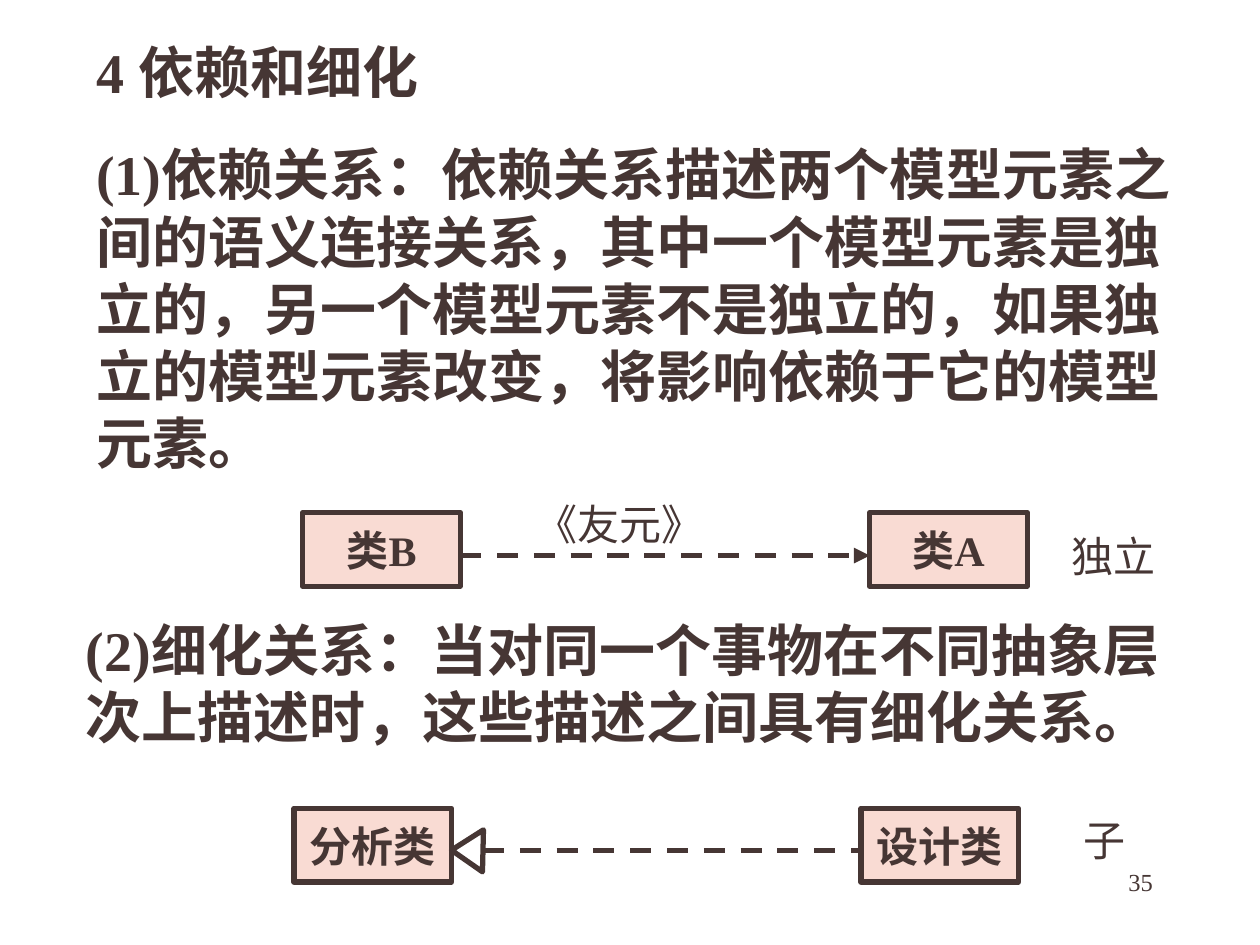
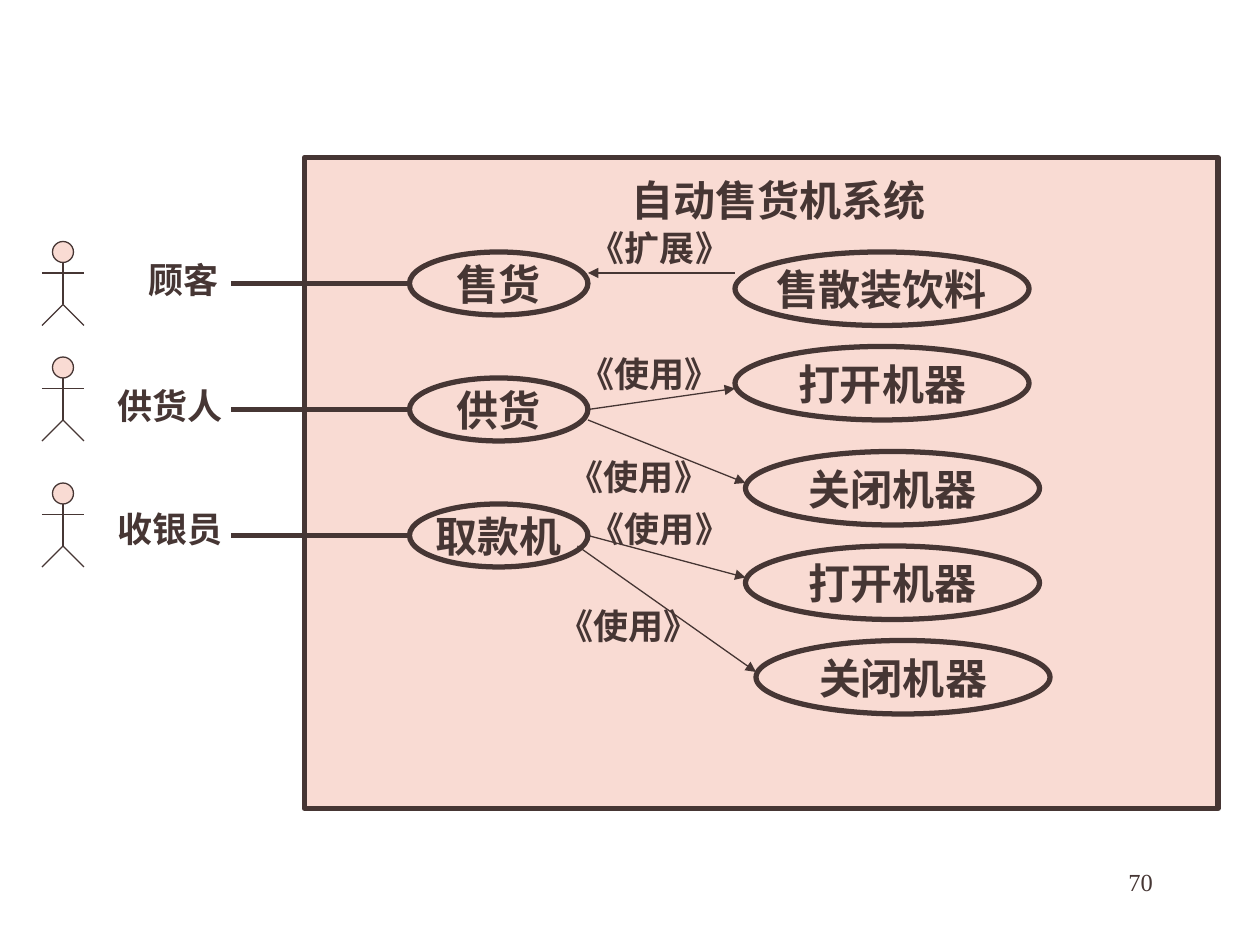
"""Builds two slides on UML dependency, refinement and use cases."""
from typing import NamedTuple

from pptx import Presentation
from pptx.dml.color import RGBColor
from pptx.enum.dml import MSO_LINE
from pptx.enum.lang import MSO_LANGUAGE_ID as LANG
from pptx.enum.shapes import MSO_CONNECTOR, MSO_SHAPE as SHAPE
from pptx.enum.text import MSO_ANCHOR, MSO_AUTO_SIZE as AUTO_SIZE, PP_ALIGN as ALIGN
from pptx.oxml.ns import qn
from pptx.oxml.xmlchemy import OxmlElement
from pptx.shapes.autoshape import Shape
from pptx.slide import Slide
from pptx.text.text import _Paragraph as Paragraph
from pptx.util import Pt

INK = RGBColor(0x46, 0x36, 0x34)
BLUSH = RGBColor(0xF9, 0xDB, 0xD3)
FONT = "Times New Roman"
THICK, THIN = 3, 0.75
CLASS_WIDTH, CLASS_HEIGHT, CLASS_STEP = 90, 42, 324


class Node(NamedTuple):
    """An outlined shape with an optional centred caption."""
    left: float
    top: float
    width: float
    height: float
    caption: str = ""
    kind: SHAPE = SHAPE.OVAL
    weight: float = THICK


class Label(NamedTuple):
    """A text box whose paragraphs share one style."""
    left: float
    top: float
    width: float
    height: float
    paragraphs: tuple[str, ...]
    size: float = 24
    bold: bool = False
    align: ALIGN = ALIGN.LEFT


class Link(NamedTuple):
    """A straight line between two points."""
    x1: float
    y1: float
    x2: float
    y2: float
    weight: float = THIN
    dashed: bool = False
    arrow: bool = False


class Actor(NamedTuple):
    """A stick figure with its role and its use case."""
    top: float
    role: str
    role_left: float
    role_top: float
    use_case: str
    use_case_top: float


def write(paragraph: Paragraph, text: str, size: float, bold: bool) -> None:
    """Add one styled run."""
    run = paragraph.add_run()
    run.text = text
    font = run.font
    font.name, font.size, font.bold = FONT, Pt(size), bold
    font.color.rgb = INK
    font.language_id = LANG.SIMPLIFIED_CHINESE


def draw_node(slide: Slide, node: Node) -> Shape:
    """Draw a filled shape and its caption."""
    shape = slide.shapes.add_shape(
        node.kind, Pt(node.left), Pt(node.top), Pt(node.width), Pt(node.height))
    shape.shadow.inherit = False
    shape.fill.solid()
    shape.fill.fore_color.rgb = BLUSH
    shape.line.color.rgb = INK
    shape.line.width = Pt(node.weight)
    if node.caption:
        frame = shape.text_frame
        frame.word_wrap = False
        frame.vertical_anchor = MSO_ANCHOR.MIDDLE
        frame.paragraphs[0].alignment = ALIGN.CENTER
        write(frame.paragraphs[0], node.caption, 24, True)
    return shape


def draw_label(slide: Slide, label: Label) -> None:
    """Draw a wrapping text box."""
    box = slide.shapes.add_textbox(
        Pt(label.left), Pt(label.top), Pt(label.width), Pt(label.height))
    frame = box.text_frame
    frame.word_wrap = True
    frame.auto_size = AUTO_SIZE.NONE
    for index, text in enumerate(label.paragraphs):
        paragraph = frame.add_paragraph() if index else frame.paragraphs[0]
        paragraph.alignment = label.align
        if index:
            paragraph.space_before = Pt(20)
        write(paragraph, text, label.size, label.bold)


def draw_link(slide: Slide, link: Link) -> None:
    """Draw a line, dashed or with an arrowhead where asked."""
    connector = slide.shapes.add_connector(
        MSO_CONNECTOR.STRAIGHT, Pt(link.x1), Pt(link.y1), Pt(link.x2), Pt(link.y2))
    connector.line.color.rgb = INK
    connector.line.width = Pt(link.weight)
    if link.dashed:
        connector.line.dash_style = MSO_LINE.DASH
    properties = connector._element.spPr
    if link.arrow:
        arrowhead = OxmlElement("a:tailEnd")
        arrowhead.set("type", "triangle")
        properties.find(qn("a:ln")).append(arrowhead)
    properties.append(OxmlElement("a:effectLst"))


def draw_class_pair(slide: Slide, left: float, top: float, captions: tuple[str, str]) -> None:
    """Draw two class boxes side by side."""
    for column, caption in enumerate(captions):
        draw_node(slide, Node(left + column * CLASS_STEP, top, CLASS_WIDTH, CLASS_HEIGHT,
                              caption, SHAPE.RECTANGLE))


def draw_page_number(slide: Slide, number: int) -> None:
    """Draw the page number at the lower right."""
    draw_label(slide, Label(516, 492, 150, 36, (str(number),), 14, align=ALIGN.RIGHT))


def draw_actor(slide: Slide, actor: Actor) -> None:
    """Draw a stick figure, its role and its link to a use case."""
    top, hip, foot = actor.top, actor.top + 36, actor.top + 48
    draw_node(slide, Node(30, top, 12, 12, weight=THIN))
    for limb in (Link(24, top + 18, 48, top + 18), Link(36, top + 12, 36, hip),
                 Link(36, hip, 24, foot), Link(36, hip, 48, foot)):
        draw_link(slide, limb)
    draw_label(slide, Label(actor.role_left, actor.role_top, 84, 32, (actor.role,), 20, True))
    draw_node(slide, Node(234, actor.use_case_top, 102, 36, actor.use_case))
    middle = actor.use_case_top + 18
    draw_link(slide, Link(234, middle, 132, middle, THICK))


def build_relations(slide: Slide) -> None:
    """Build the slide on dependency and refinement."""
    draw_label(slide, Label(42, 348, 660, 84, (
        "(2)细化关系：当对同一个事物在不同抽象层次上描述时，这些描述之间具有细化关系。",), 32, True))
    draw_class_pair(slide, 168, 462, ("分析类", "设计类"))
    refinement_head = draw_node(
        slide, Node(255, 477, 24, 18, kind=SHAPE.ISOSCELES_TRIANGLE))
    refinement_head.fill.background()
    refinement_head.rotation = 271.3
    draw_link(slide, Link(276, 486, 492, 486, THICK, dashed=True))
    draw_label(slide, Label(48, 18, 642, 316, (
        "4 依赖和细化",
        "(1)依赖关系：依赖关系描述两个模型元素之间的语义连接关系，其中一个模型元素是独立的，"
        "另一个模型元素不是独立的，如果独立的模型元素改变，将影响依赖于它的模型元素。"), 32, True))
    draw_class_pair(slide, 173, 293, ("类B", "类A"))
    draw_link(slide, Link(263, 317.5, 497, 317.5, THICK, dashed=True, arrow=True))
    for note in (Label(299, 281.5, 112, 36, ("《友元》",)),
                 Label(605, 299.5, 72, 36, ("独立",)),
                 Label(612, 462, 42, 36, ("子",))):
        draw_label(slide, note)
    draw_page_number(slide, 35)


def build_vending_machine(slide: Slide) -> None:
    """Build the use case diagram of the vending machine."""
    draw_node(slide, Node(174, 90, 522, 372, kind=SHAPE.RECTANGLE))
    draw_label(slide, Label(354, 96, 186, 36, ("自动售货机系统",), bold=True))
    for actor in (Actor(138, "顾客", 78, 144, "售货", 144),
                  Actor(204, "供货人", 60, 216, "供货", 216),
                  Actor(276, "收银员", 60, 286.5, "取款机", 288)):
        draw_actor(slide, actor)
    for left, top, task in ((420, 144, "售散装饮料"), (420, 198, "打开机器"),
                            (426, 258, "关闭机器"), (426, 312, "打开机器"),
                            (432, 366, "关闭机器")):
        draw_node(slide, Node(left, top, 168, 42, task))
    for ends in ((420, 156, 336, 156), (336, 234, 420, 222), (336, 240, 426, 276),
                 (336, 306, 426, 330), (330, 312, 432, 384)):
        draw_link(slide, Link(*ends, arrow=True))
    for left, top, stereotype in ((330, 126, "《扩展》"), (324, 198, "《使用》"),
                                  (318, 257, "《使用》"), (330, 286.5, "《使用》"),
                                  (312, 342, "《使用》")):
        draw_label(slide, Label(left, top, 96, 32, (stereotype,), 20, True))
    draw_page_number(slide, 70)


def main() -> None:
    """Build and save the presentation."""
    deck = Presentation()
    deck.slide_width, deck.slide_height = Pt(720), Pt(540)
    for build in (build_relations, build_vending_machine):
        build(deck.slides.add_slide(deck.slide_layouts[6]))
    deck.save("out.pptx")


if __name__ == "__main__":
    main()
